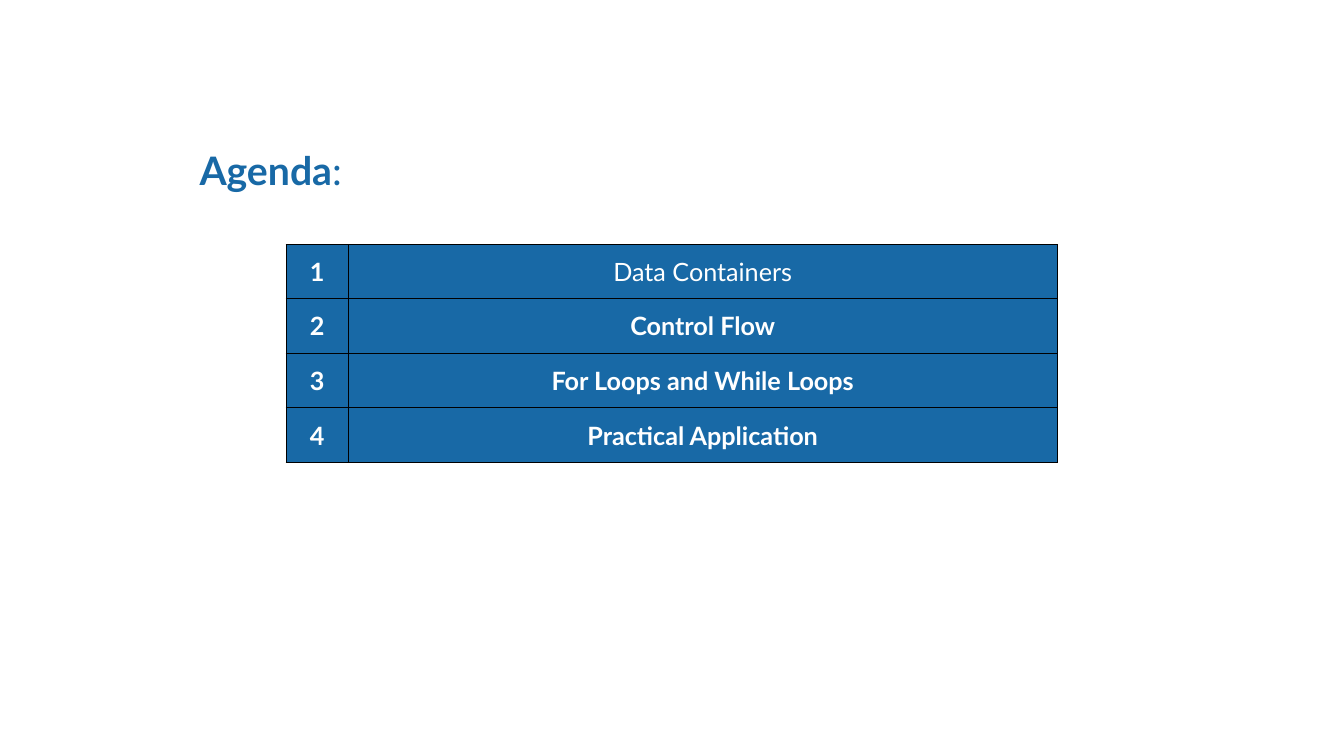
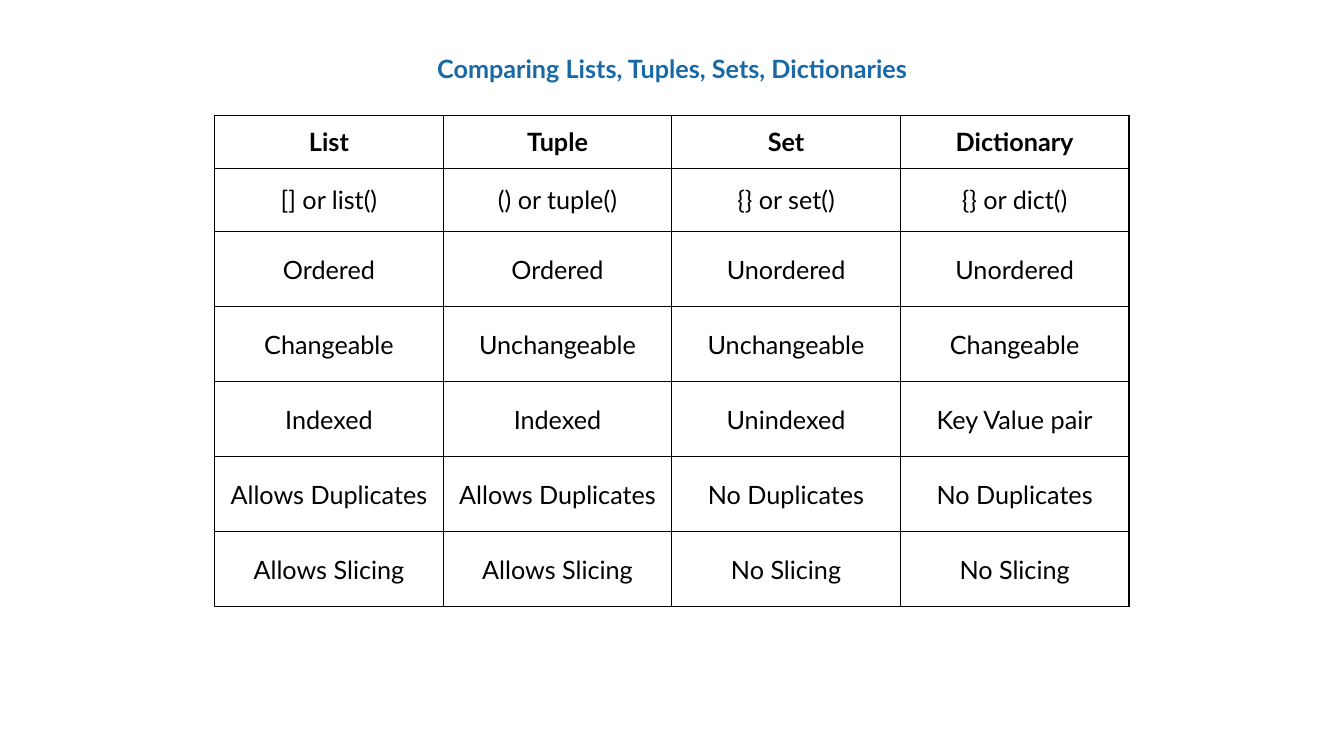
from dataclasses import dataclass

from lxml.etree import SubElement
from pptx import Presentation
from pptx.dml.color import RGBColor as RGB
from pptx.enum.text import MSO_ANCHOR as ANCHOR, MSO_AUTO_SIZE as AUTO, PP_ALIGN as ALIGN
from pptx.oxml.ns import qn
from pptx.util import Cm, Pt


@dataclass(frozen=True)
class Theme:
    font: str = "Lato"
    blue: str = "1869A6"
    white: str = "FFFFFF"
    black: str = "000000"
    heading: int = 28
    body: int = 18
    border: int = 1


THEME = Theme()

AGENDA = ["Data Containers", "Control Flow", "For Loops and While Loops",
          "Practical Application"]

COMPARISON = [
    ["List", "Tuple", "Set", "Dictionary"],
    ["[] or list()", "() or tuple()", "{} or set()", "{} or dict()"],
    ["Ordered", "Ordered", "Unordered", "Unordered"],
    ["Changeable", "Unchangeable", "Unchangeable", "Changeable"],
    ["Indexed", "Indexed", "Unindexed", "Key Value pair"],
    ["Allows Duplicates", "Allows Duplicates", "No Duplicates", "No Duplicates"],
    ["Allows Slicing", "Allows Slicing", "No Slicing", "No Slicing"],
]


def add_run(p, text, size, color, bold):
    r = p.add_run()
    r.text = text
    r.font.name = THEME.font
    r.font.size = Pt(size)
    r.font.bold = bold
    r.font.color.rgb = RGB.from_string(color)


def add_title(slide, box, runs, size, align=ALIGN.LEFT):
    """Add a blue title from (text, bold) runs; box is in centimetres."""
    tf = slide.shapes.add_textbox(*map(Cm, box)).text_frame
    tf.word_wrap = True
    tf.auto_size = AUTO.SHAPE_TO_FIT_TEXT
    p = tf.paragraphs[0]
    p.alignment = align
    for text, bold in runs:
        add_run(p, text, size, THEME.blue, bold)


def set_borders(cell):
    tc_pr = cell._tc.get_or_add_tcPr()
    for side in ("a:lnL", "a:lnR", "a:lnT", "a:lnB"):
        ln = SubElement(tc_pr, qn(side), w=str(Pt(THEME.border)))
        fill = SubElement(ln, qn("a:solidFill"))
        SubElement(fill, qn("a:srgbClr"), val=THEME.black)


def fill_cell(cell, text, color, bold, fill):
    set_borders(cell)
    if fill:
        cell.fill.solid()
        cell.fill.fore_color.rgb = RGB.from_string(fill)
    else:
        cell.fill.background()
    cell.vertical_anchor = ANCHOR.MIDDLE
    p = cell.text_frame.paragraphs[0]
    p.alignment = ALIGN.CENTER
    add_run(p, text, THEME.body, color, bold)


def add_grid(slide, left, top, widths, heights, rows, is_bold, color, fill=None):
    """Add a bordered table; is_bold(row, column) picks the weight of each cell."""
    frame = slide.shapes.add_table(
        len(rows), len(widths), Cm(left), Cm(top), Cm(sum(widths)), Cm(sum(heights)))
    table = frame.table
    table.first_row = table.horz_banding = False
    for column, width in zip(table.columns, widths):
        column.width = Cm(width)
    for row, height in zip(table.rows, heights):
        row.height = Cm(height)
    for i, row in enumerate(rows):
        for j, text in enumerate(row):
            fill_cell(table.cell(i, j), text, color, is_bold(i, j), fill)


def add_agenda(slide):
    add_title(slide, (4.78, 3.56, 4.85, 1.45), [("Agenda", True), (":", False)],
              THEME.heading)
    rows = [(str(n), topic) for n, topic in enumerate(AGENDA, 1)]
    add_grid(slide, 7.21, 6.17, [1.57, 17.86], [1.35] + [1.38] * 3, rows,
             lambda i, j: (i, j) != (0, 1), THEME.white, THEME.blue)


def add_comparison(slide):
    add_grid(slide, 5.41, 2.92, [5.76] * 4, [1.32, 1.6] + [1.89] * 5, COMPARISON,
             lambda i, j: i == 0, THEME.black)
    add_title(slide, (9.32, 1.22, 15.24, 1.02),
              [("Comparing Lists, Tuples, Sets, Dictionaries", True)],
              THEME.body, ALIGN.CENTER)


def main():
    prs = Presentation()
    prs.slide_width, prs.slide_height = Cm(33.87), Cm(19.05)
    blank = prs.slide_layouts[6]
    for build in (add_agenda, add_comparison):
        build(prs.slides.add_slide(blank))
    prs.save("out.pptx")


if __name__ == "__main__":
    main()
